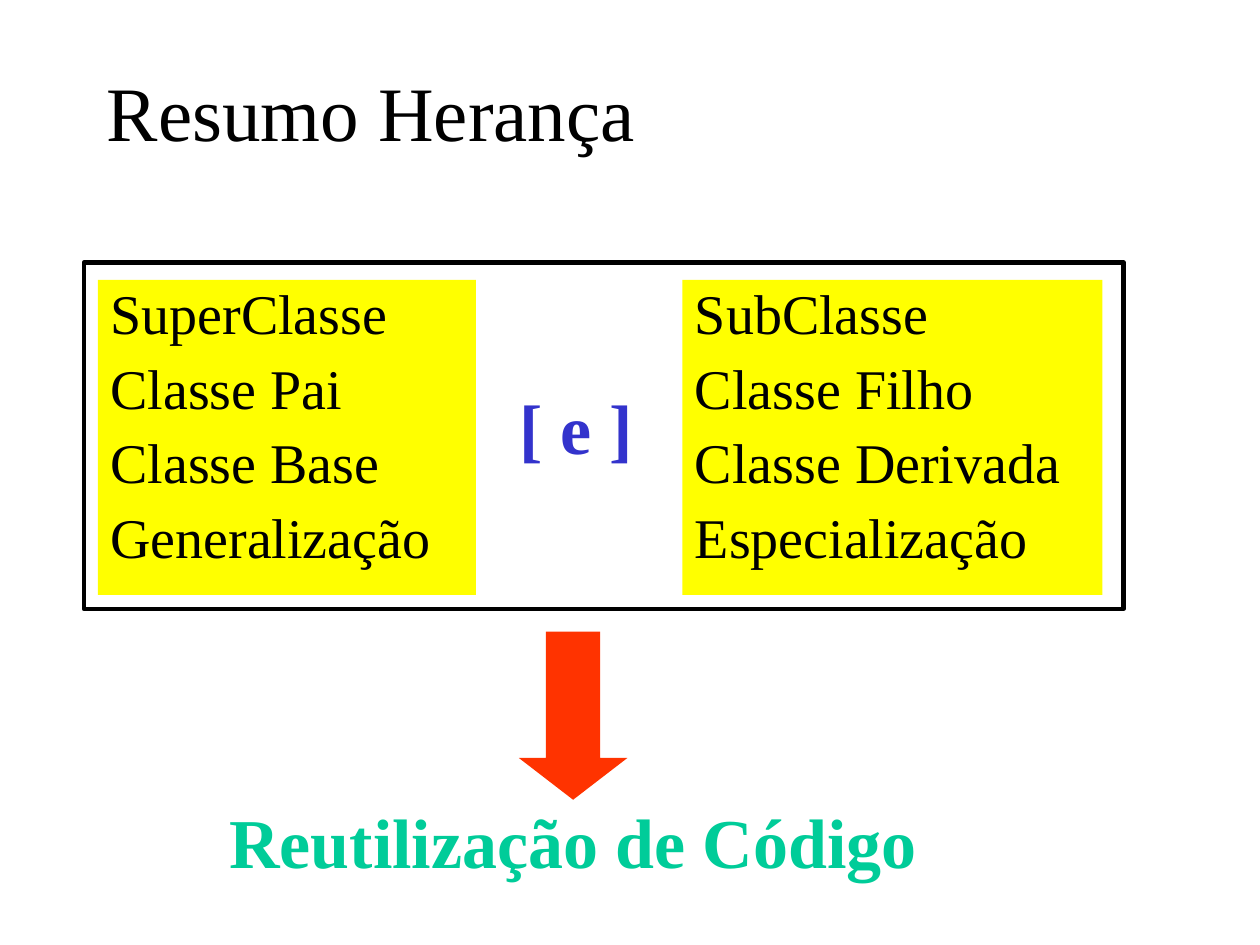
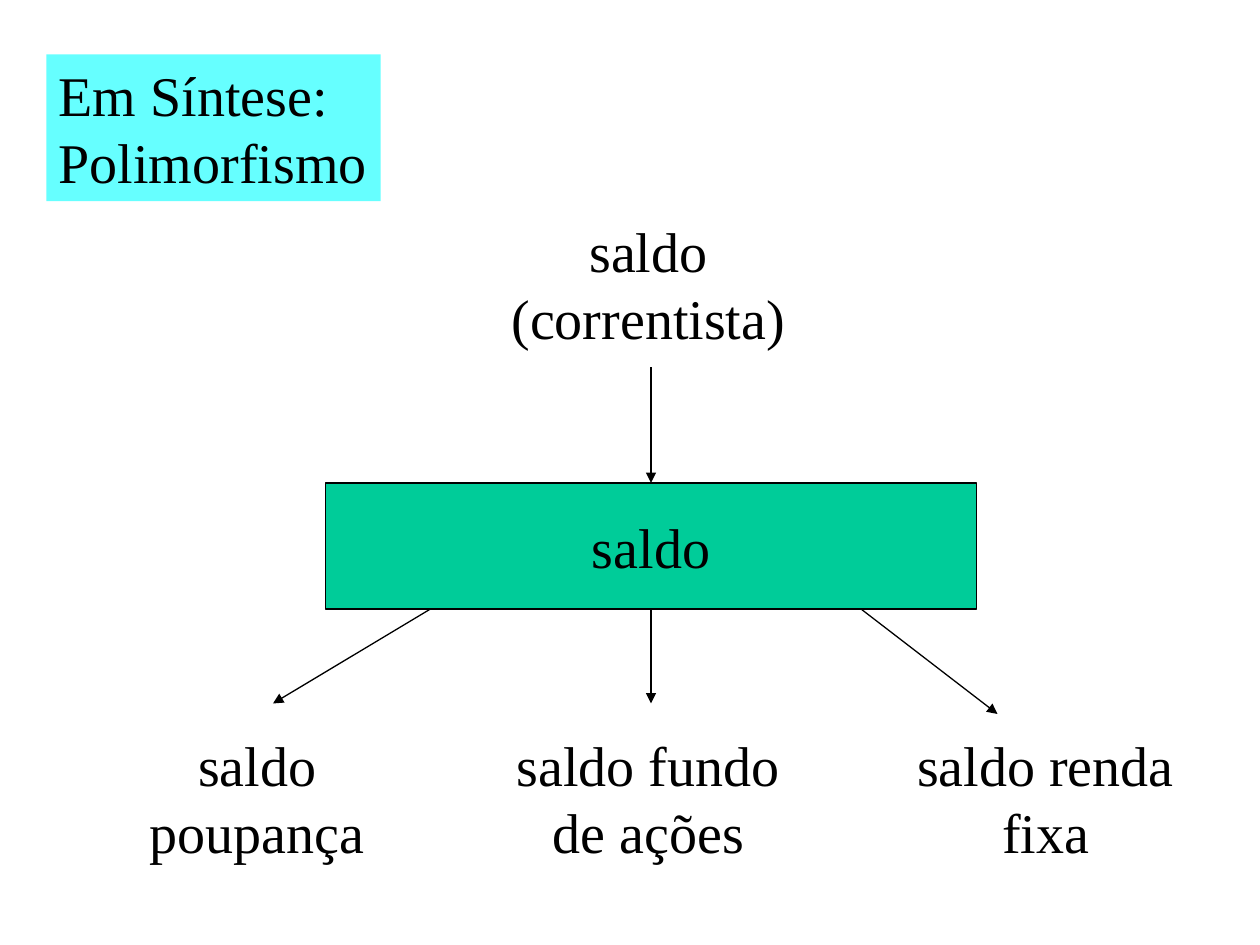
from collections import namedtuple

from lxml.etree import SubElement
from pptx import Presentation
from pptx.dml.color import RGBColor
from pptx.enum.shapes import MSO_CONNECTOR as LineKind, MSO_SHAPE as Preset
from pptx.enum.text import MSO_ANCHOR as Anchor, PP_ALIGN as Align
from pptx.oxml.ns import qn
from pptx.util import Pt

BLACK = RGBColor(0x00, 0x00, 0x00)
YELLOW = RGBColor(0xFF, 0xFF, 0x00)
ORANGE = RGBColor(0xFF, 0x33, 0x00)
GREEN = RGBColor(0x00, 0xCC, 0x99)
BLUE = RGBColor(0x33, 0x33, 0xCC)
CYAN = RGBColor(0x66, 0xFF, 0xFF)

FONT = "Times New Roman"
TITLE_SIZE, ACCENT_SIZE, BODY_SIZE = 44, 40, 32
TOP, BOTTOM = 0, 2  # connection sites

Box = namedtuple("Box", "left top width height")


def to_points(box):
    return [Pt(value) for value in box]


def write(shape, lines, size=BODY_SIZE, color=BLACK, bold=False, align=Align.LEFT,
          anchor=Anchor.TOP, wrap=False, line_spacing=None, gap=0):
    """Fill a shape with one paragraph per line."""
    frame = shape.text_frame
    frame.word_wrap = wrap
    frame.vertical_anchor = anchor
    for index, line in enumerate(lines):
        para = frame.add_paragraph() if index else frame.paragraphs[0]
        para.alignment = align
        para.space_before = Pt(gap if index else 0)
        if line_spacing:
            para.line_spacing = line_spacing
        span = para.add_run()
        span.text = line
        font = span.font
        font.name, font.size, font.bold = FONT, Pt(size), bold
        font.color.rgb = color


def add_label(page, box, lines, **style):
    label = page.shapes.add_textbox(*to_points(box))
    write(label, lines, **style)


def add_block(page, box, fill=None, line_width=0, preset=Preset.RECTANGLE):
    block = page.shapes.add_shape(preset, *to_points(box))
    block.shadow.inherit = False
    if fill is None:
        block.fill.background()
    else:
        block.fill.solid()
        block.fill.fore_color.rgb = fill
    if line_width:
        block.line.color.rgb = BLACK
        block.line.width = Pt(line_width)
    else:
        block.line.fill.background()
    return block


def add_arrow(page, start, end):
    arrow = page.shapes.add_connector(LineKind.STRAIGHT, *to_points(start + end))
    arrow.line.color.rgb = BLACK
    arrow.line.width = Pt(0.75)
    properties = arrow.line._get_or_add_ln()
    SubElement(properties, qn("a:tailEnd"), type="triangle")
    SubElement(arrow._element.spPr, qn("a:effectLst"))
    return arrow


# Inheritance summary

def add_class_pair(page, box):
    """Framed pair of class-name cards joined by '[ e ]'."""
    add_block(page, box, line_width=2.5)
    cards = (
        (8, 216, ("SuperClasse", "Classe Pai", "Classe Base", "Generalização")),
        (342, 240, ("SubClasse", "Classe Filho", "Classe Derivada", "Especialização")),
    )
    for offset, width, names in cards:
        card = add_block(page, Box(box.left + offset, box.top + 10, width, box.height - 18), YELLOW)
        write(card, names, wrap=True, line_spacing=0.9, gap=8)
    add_label(page, Box(box.left + 242, box.top + 66, 78.5, 55.5), ["[ e ]"],
              size=ACCENT_SIZE, color=BLUE, bold=True)


def add_conclusion(page, box):
    """Block arrow leading down to the conclusion."""
    arrow = add_block(page, Box(box.left + 191.5, box.top, 62, 96), ORANGE, preset=Preset.DOWN_ARROW)
    arrow.adjustments[0], arrow.adjustments[1] = 0.5, 0.385
    add_label(page, Box(box.left, box.top + 92, box.width, 55.5), ["Reutilização de Código"],
              size=ACCENT_SIZE, color=GREEN, bold=True, align=Align.CENTER, wrap=True)


def build_inheritance(page):
    add_label(page, Box(54, 18, 612, 90), ["Resumo Herança"],
              size=TITLE_SIZE, anchor=Anchor.MIDDLE, wrap=True)
    add_class_pair(page, Box(48, 150, 594, 198))
    add_conclusion(page, Box(105, 361, 445, 147))


# Polymorphism

def add_balance_tree(page, box):
    """Balance request at the top, shared operation, and its three forms."""
    hub_box = Box(box.left + 108, box.top + 156, 372, 72)
    hub = add_block(page, hub_box, GREEN, line_width=0.75)
    write(hub, ["saldo"], align=Align.CENTER, anchor=Anchor.MIDDLE)
    middle = hub_box.left + hub_box.width / 2
    hub_bottom = hub_box.top + hub_box.height

    # Labels: centre offset from the box, top offset, width
    labels = (
        (292.5, 0, 171, ("saldo", "(correntista)")),
        (69, 294, 137, ("saldo", "poupança")),
        (292.5, 294, 165, ("saldo fundo", "de ações")),
        (519.5, 294, 161, ("saldo renda", "fixa")),
    )
    for center, drop, width, lines in labels:
        add_label(page, Box(box.left + center - width / 2, box.top + drop, width, 84),
                  lines, align=Align.CENTER)

    # Arrows into and out of the shared operation
    incoming = add_arrow(page, (middle, hub_box.top - 66), (middle, hub_box.top))
    incoming.end_connect(hub, TOP)
    for start, end, drop in ((-126, -216, 54), (0, 0, 54), (120, 198, 60)):
        arrow = add_arrow(page, (middle + start, hub_bottom), (middle + end, hub_bottom + drop))
        if start == 0:
            arrow.begin_connect(hub, BOTTOM)


def build_polymorphism(page):
    heading = add_block(page, Box(26.5, 31, 191, 84), CYAN)
    write(heading, ["Em Síntese:", "Polimorfismo"])
    add_balance_tree(page, Box(78, 120, 600, 378))


def main():
    deck = Presentation()
    deck.slide_width, deck.slide_height = Pt(720), Pt(540)
    blank = deck.slide_layouts[6]
    for build in (build_inheritance, build_polymorphism):
        build(deck.slides.add_slide(blank))
    deck.save("out.pptx")


if __name__ == "__main__":
    main()
